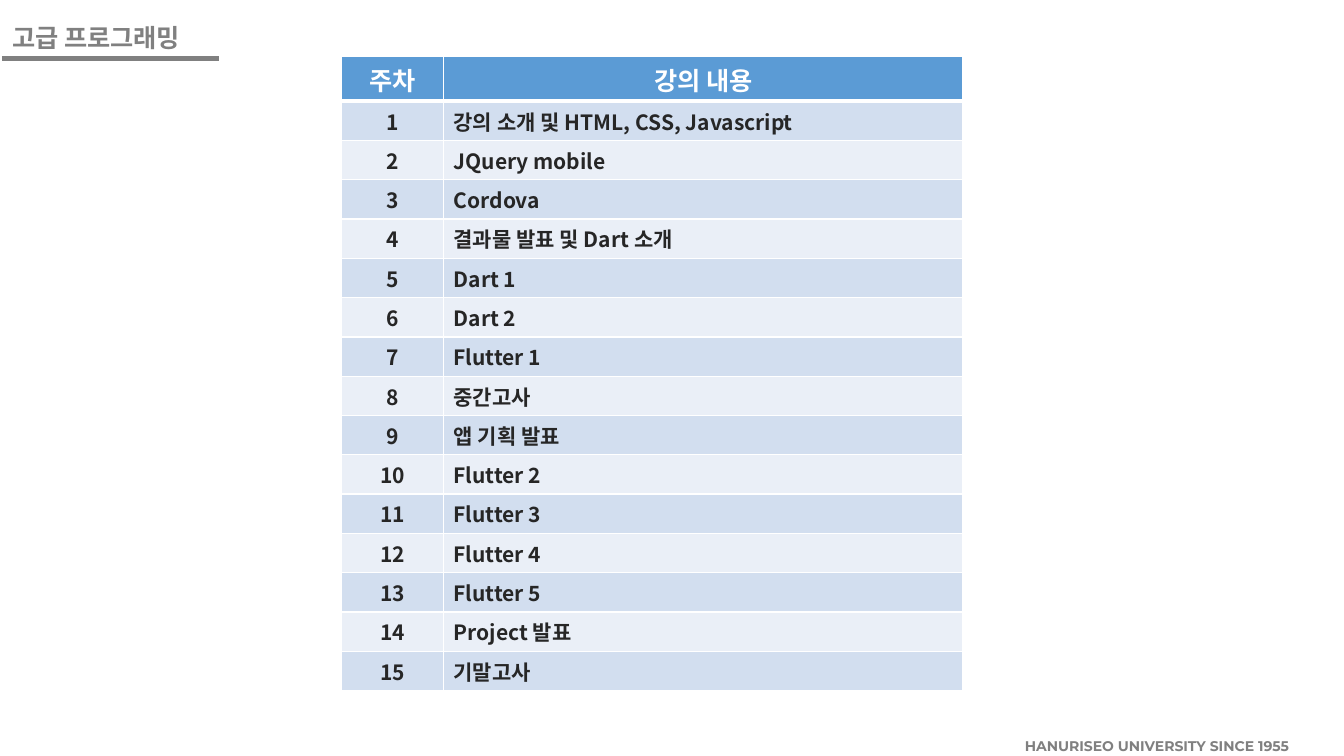
from lxml import etree
from pptx import Presentation
from pptx.dml.color import RGBColor
from pptx.enum import shapes, text
from pptx.oxml import ns
from pptx.util import Cm, Pt

COLORS = {
    "gray": "808080",
    "header": "5B9BD5",
    "odd": "D2DEEF",
    "even": "EAEFF7",
    "white": "FFFFFF",
    "ink": "262626",
}
KOREAN_FONT = "Noto Sans CJK KR"
CENTER = text.PP_ALIGN.CENTER
LEFT = text.PP_ALIGN.LEFT


def write(frame, content, size, color, font=KOREAN_FONT, align=LEFT):
    paragraph = frame.paragraphs[0]
    paragraph.alignment = align
    run = paragraph.add_run()
    run.text = content
    run.font.size = Pt(size)
    run.font.bold = True
    run.font.name = font
    run.font.color.rgb = RGBColor.from_string(COLORS[color])
    etree.SubElement(run._r.get_or_add_rPr(), ns.qn("a:ea"), typeface=font)


def add_borders(cell, bottom):
    properties = cell._tc.get_or_add_tcPr()
    for side, width in (("L", 1), ("R", 1), ("T", 1), ("B", bottom)):
        line = etree.SubElement(properties, ns.qn(f"a:ln{side}"), w=str(Pt(width)))
        fill = etree.SubElement(line, ns.qn("a:solidFill"))
        etree.SubElement(fill, ns.qn("a:srgbClr"), val=COLORS["white"])


topics = [
    "강의 소개 및 HTML, CSS, Javascript",
    "JQuery mobile",
    "Cordova",
    "결과물 발표 및 Dart 소개",
    "Dart 1",
    "Dart 2",
    "Flutter 1",
    "중간고사",
    "앱 기획 발표",
    "Flutter 2",
    "Flutter 3",
    "Flutter 4",
    "Flutter 5",
    "Project 발표",
    "기말고사",
]
rows = [("주차", "강의 내용")]
rows += [(str(week), topic) for week, topic in enumerate(topics, 1)]

presentation = Presentation()
presentation.slide_width = Cm(33.87)
presentation.slide_height = Cm(19.05)
slide = presentation.slides.add_slide(presentation.slide_layouts[5])

title = slide.shapes.title
title.left, title.top, title.width, title.height = Cm(0.05), Cm(0.43), Cm(5.23), Cm(1.02)
title.text_frame.word_wrap = False
title.text_frame.auto_size = text.MSO_AUTO_SIZE.NONE
title.text_frame.vertical_anchor = text.MSO_ANCHOR.MIDDLE
write(title.text_frame, "고급 프로그래밍", 18, "gray")

underline = slide.shapes.add_connector(
    shapes.MSO_CONNECTOR.STRAIGHT, Cm(0.05), Cm(1.47), Cm(5.51), Cm(1.47)
)
underline.line.color.rgb = RGBColor.from_string(COLORS["gray"])
underline.line.width = Pt(3.75)
etree.SubElement(underline._element.spPr, ns.qn("a:effectLst"))

footer = slide.shapes.add_textbox(Cm(25.58), Cm(18.47), Cm(8.1), Cm(0.71))
footer.text_frame.word_wrap = True
write(footer.text_frame, "HANURISEO UNIVERSITY SINCE 1955", 10, "gray", font="Montserrat")

schedule = slide.shapes.add_table(
    len(rows), 2, Cm(8.6), Cm(1.43), Cm(15.67), Cm(15.9)
).table
schedule.columns[0].width = Cm(2.58)
schedule.columns[1].width = Cm(13.09)

for index, values in enumerate(rows):
    is_header = index == 0
    schedule.rows[index].height = Cm(1.12 if is_header else 0.99)
    fill = "header" if is_header else "odd" if index % 2 else "even"
    for column, value in enumerate(values):
        cell = schedule.cell(index, column)
        add_borders(cell, bottom=3 if is_header else 1)
        cell.fill.solid()
        cell.fill.fore_color.rgb = RGBColor.from_string(COLORS[fill])
        cell.vertical_anchor = text.MSO_ANCHOR.MIDDLE
        cell.margin_top = cell.margin_bottom = Cm(0.08)
        write(
            cell.text_frame,
            value,
            size=18 if is_header else 15,
            color="white" if is_header else "ink",
            align=CENTER if is_header or column == 0 else LEFT,
        )

presentation.save("out.pptx")
